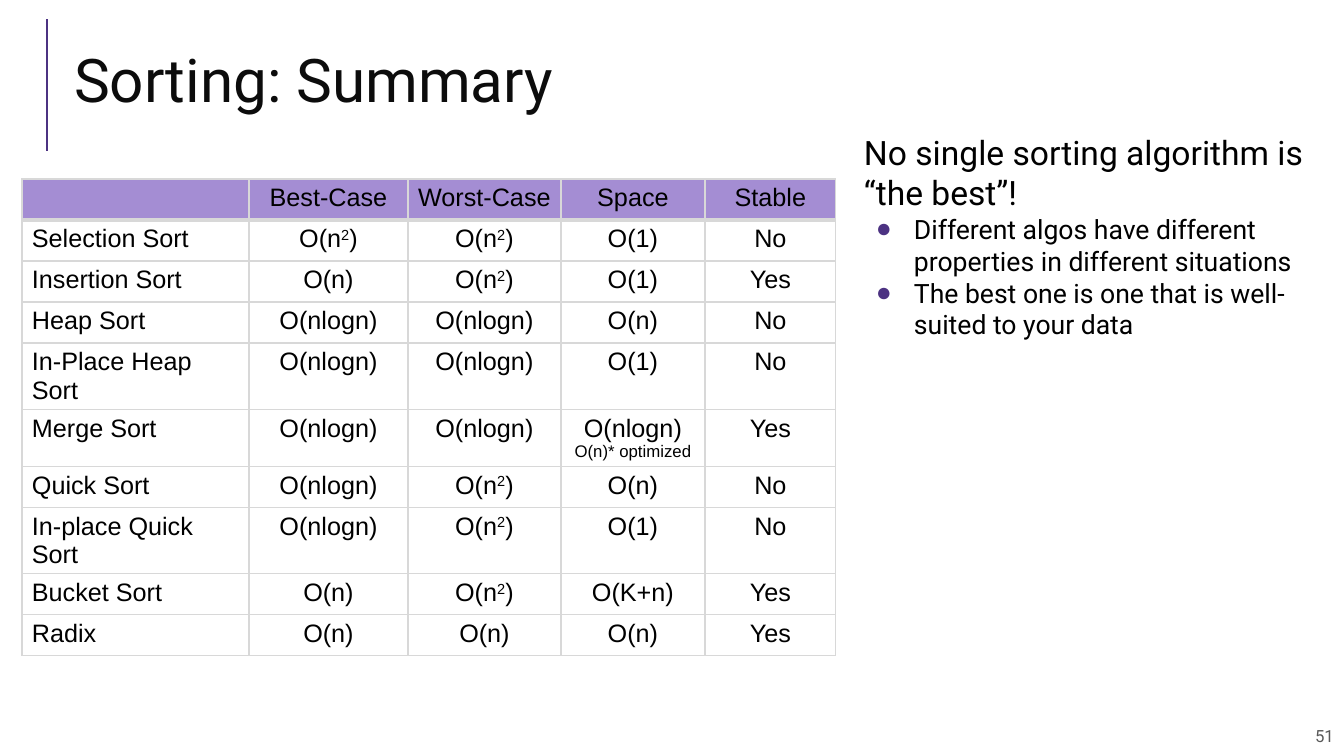
import lxml.etree
import pptx
import pptx.dml.color
import pptx.enum.shapes
import pptx.enum.text
import pptx.oxml.ns
import pptx.util

RGBColor = pptx.dml.color.RGBColor
Align = pptx.enum.text.PP_ALIGN
Anchor = pptx.enum.text.MSO_ANCHOR
qn = pptx.oxml.ns.qn

PURPLE = RGBColor(0x4C, 0x32, 0x82)
LILAC = RGBColor(0xA4, 0x8D, 0xD3)
LIGHT_GRAY = RGBColor(0xD8, 0xD8, 0xD8)
DARK_GRAY = RGBColor(0x59, 0x59, 0x59)
NEAR_BLACK = RGBColor(0x0C, 0x0C, 0x0C)
BLACK = RGBColor(0, 0, 0)
WHITE = RGBColor(0xFF, 0xFF, 0xFF)


def px(*lengths):
    return [pptx.util.Emu(round(length * 914400 / 100.8)) for length in lengths]


def write(paragraph, text, size=18, font="Arial", color=BLACK, align=Align.LEFT, spacing=1.0):
    paragraph.alignment = align
    paragraph.line_spacing = spacing
    paragraph.space_before = paragraph.space_after = pptx.util.Pt(0)
    before, square, after = text.partition("²")
    for piece in (before, square, after):
        if piece:
            run = paragraph.add_run()
            run.text = piece.replace("²", "2")
            run.font.size = pptx.util.Pt(size)
            run.font.name = font
            run.font.color.rgb = color
            if piece == "²":
                run._r.get_or_add_rPr().set("baseline", "30000")


presentation = pptx.Presentation()
presentation.slide_width, presentation.slide_height = px(1344, 756)
slide = presentation.slides.add_slide(presentation.slide_layouts[1])
title, body = slide.placeholders

accent_line = slide.shapes.add_connector(
    pptx.enum.shapes.MSO_CONNECTOR.STRAIGHT, *px(47, 151, 47, 19))
accent_line.line.color.rgb = PURPLE
accent_line.line.width = pptx.util.Pt(1.5)
lxml.etree.SubElement(accent_line._element.spPr, qn("a:effectLst"))

page_number = slide.shapes.add_textbox(*px(872, 716, 472, 40))
for shape, box, margin, anchor in (
    (title, (64, 29, 1232, 112), 5, Anchor.MIDDLE),
    (body, (854, 127, 469, 289), 5, Anchor.TOP),
    (page_number, (872, 716, 472, 40), 10, Anchor.MIDDLE),
):
    shape.left, shape.top, shape.width, shape.height = px(*box)
    frame = shape.text_frame
    frame.word_wrap = True
    frame.auto_size = pptx.enum.text.MSO_AUTO_SIZE.NONE
    frame.vertical_anchor = anchor
    frame.margin_left, frame.margin_right = px(10, 10)
    frame.margin_top, frame.margin_bottom = px(margin, margin)

write(title.text_frame.paragraphs[0], "Sorting: Summary",
      size=43, font="Roboto", color=NEAR_BLACK, spacing=0.8)
write(page_number.text_frame.paragraphs[0], "51",
      size=12, font="Roboto", color=DARK_GRAY, align=Align.RIGHT)

lead = body.text_frame.paragraphs[0]
lead_properties = lead._p.get_or_add_pPr()
lead_properties.set("marL", "0")
lead_properties.set("indent", "0")
lxml.etree.SubElement(lead_properties, qn("a:buNone"))
write(lead, "No single sorting algorithm is “the best”!", size=24, font="Roboto")

for point in (
    "Different algos have different properties in different situations",
    "The best one is one that is well-suited to your data",
):
    paragraph = body.text_frame.add_paragraph()
    properties = paragraph._p.get_or_add_pPr()
    margin, hanging = px(50, -38)
    properties.set("marL", str(margin))
    properties.set("indent", str(hanging))
    bullet_color = lxml.etree.SubElement(properties, qn("a:buClr"))
    lxml.etree.SubElement(bullet_color, qn("a:srgbClr"), val=str(PURPLE))
    lxml.etree.SubElement(properties, qn("a:buChar"), char="●")
    write(paragraph, point, size=19, font="Roboto")

sorts = [
    ("", "Best-Case", "Worst-Case", "Space", "Stable"),
    ("Selection Sort", "O(n²)", "O(n²)", "O(1)", "No"),
    ("Insertion Sort", "O(n)", "O(n²)", "O(1)", "Yes"),
    ("Heap Sort", "O(nlogn)", "O(nlogn)", "O(n)", "No"),
    ("In-Place Heap Sort", "O(nlogn)", "O(nlogn)", "O(1)", "No"),
    ("Merge Sort", "O(nlogn)", "O(nlogn)", "O(nlogn)\nO(n)* optimized", "Yes"),
    ("Quick Sort", "O(nlogn)", "O(n²)", "O(n)", "No"),
    ("In-place Quick Sort", "O(nlogn)", "O(n²)", "O(1)", "No"),
    ("Bucket Sort", "O(n)", "O(n²)", "O(K+n)", "Yes"),
    ("Radix", "O(n)", "O(n)", "O(n)", "Yes"),
]
column_widths = px(227, 159, 153, 144, 131)
table = slide.shapes.add_table(
    len(sorts), len(column_widths), *px(22, 179, 814, 410)).table
table.first_row = table.horz_banding = False
for column, width in zip(table.columns, column_widths):
    column.width = width

for row_index, values in enumerate(sorts):
    table.rows[row_index].height = px(41)[0]
    for column_index, value in enumerate(values):
        cell = table.cell(row_index, column_index)
        cell.margin_left, cell.margin_right, cell.margin_top, cell.margin_bottom = px(10, 10, 5, 5)
        cell_properties = cell._tc.get_or_add_tcPr()
        for side in "LRTB":
            thick = (row_index, side) in ((0, "B"), (1, "T"))
            border = lxml.etree.SubElement(
                cell_properties, qn("a:ln" + side), w=str(pptx.util.Pt(3 if thick else 1)))
            border_fill = lxml.etree.SubElement(border, qn("a:solidFill"))
            lxml.etree.SubElement(border_fill, qn("a:srgbClr"), val=str(LIGHT_GRAY))
        cell.fill.solid()
        cell.fill.fore_color.rgb = WHITE if row_index else LILAC
        align = Align.CENTER if column_index else Align.LEFT
        main, _, note = value.partition("\n")
        write(cell.text_frame.paragraphs[0], main, align=align)
        if note:
            write(cell.text_frame.add_paragraph(), note, size=12, align=align)

presentation.save("out.pptx")
